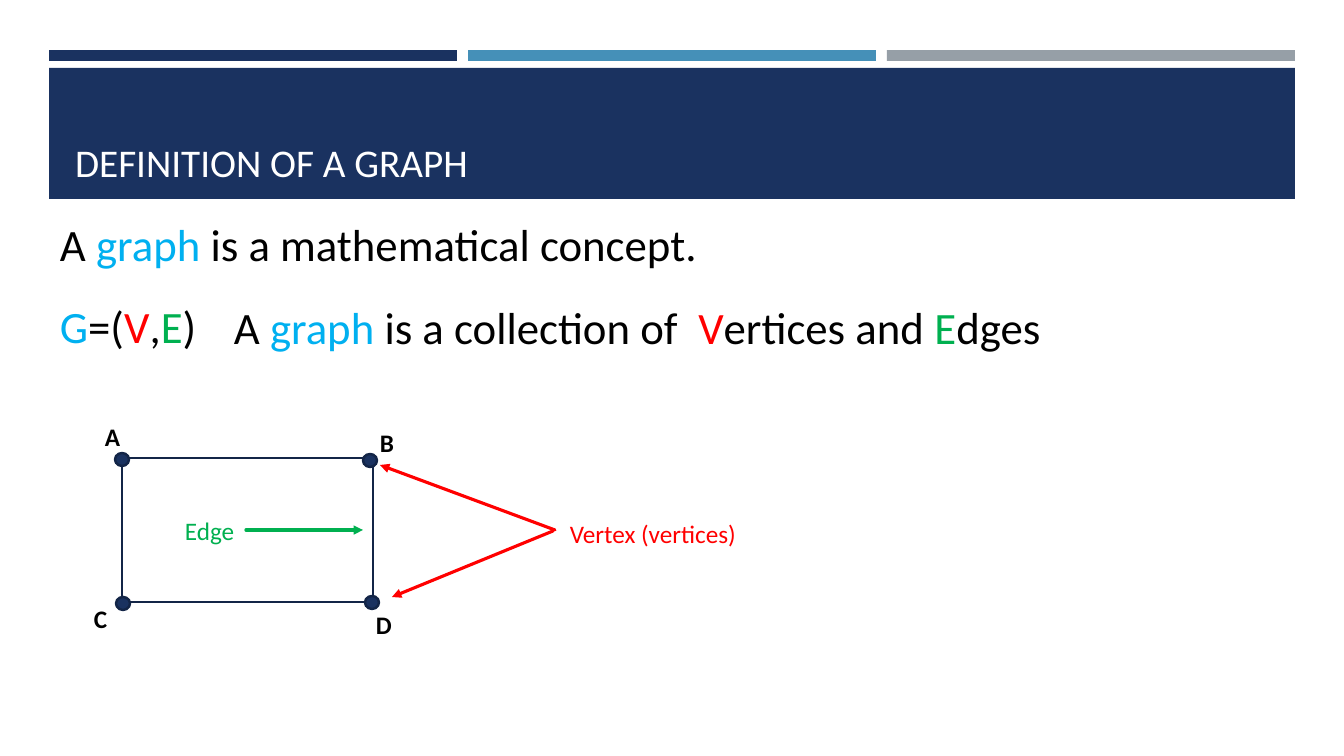
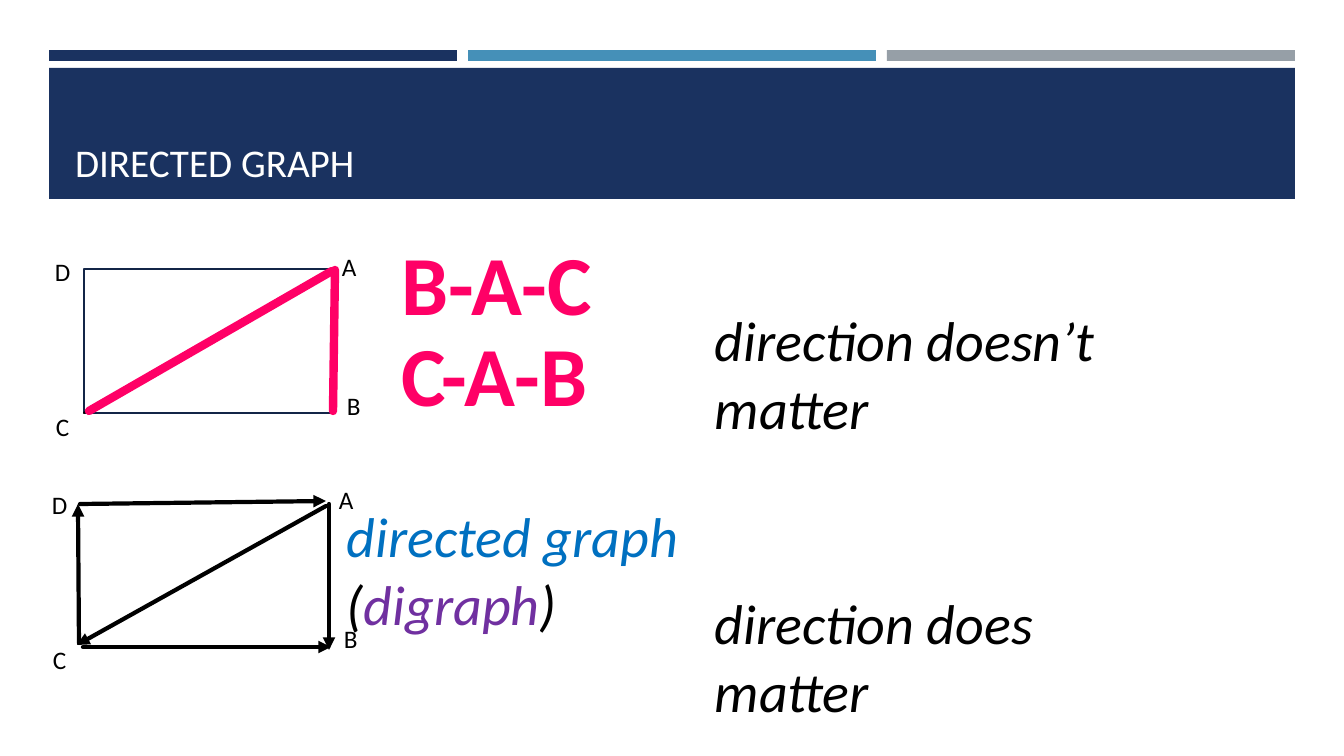
import pptx
import pptx.util
import pptx.dml.color
import pptx.enum.shapes
import pptx.enum.text
import lxml.etree

RGB = pptx.dml.color.RGBColor
KIND = pptx.enum.shapes.MSO_SHAPE
NAVY = RGB(0x1A, 0x32, 0x60)
EDGE = RGB(0x13, 0x25, 0x47)
STEEL = RGB(0x45, 0x90, 0xB8)
GRAY = RGB(0x96, 0x9F, 0xA7)
WHITE = RGB(0xFF, 0xFF, 0xFF)
BLACK = RGB(0, 0, 0)
SKY = RGB(0, 0xB0, 0xF0)
RED = RGB(0xFF, 0, 0)
GREEN = RGB(0, 0xB0, 0x50)
PINK = RGB(0xFF, 0, 0x66)
BLUE = RGB(0, 0x70, 0xC0)
PLUM = RGB(0x70, 0x30, 0xA0)
FONT = "Calibri"
PX = 914400 / 100.8
NS = "{http://schemas.openxmlformats.org/drawingml/2006/main}"


def write(slide, box, size, runs, bold=False, italic=False):
    area = slide.shapes.add_textbox(*[round(n * PX) for n in box])
    frame = area.text_frame
    frame.word_wrap = True
    for words, color in runs:
        run = frame.paragraphs[0].add_run()
        run.text = words
        run.font.name = FONT
        run.font.size = pptx.util.Pt(size)
        run.font.bold = bold
        run.font.italic = italic
        run.font.color.rgb = color


def draw(slide, ends, color, width, arrow=True):
    line = slide.shapes.add_connector(
        pptx.enum.shapes.MSO_CONNECTOR.STRAIGHT, *[round(n * PX) for n in ends])
    line.line.color.rgb = color
    line.line.width = pptx.util.Pt(width)
    props = line.element.spPr
    stroke = props.find(NS + "ln")
    stroke.set("cap", "rnd")
    if arrow:
        lxml.etree.SubElement(stroke, NS + "tailEnd", type="triangle")
    lxml.etree.SubElement(props, NS + "effectLst")


deck = pptx.Presentation()
deck.slide_width = round(1344 * PX)
deck.slide_height = round(756 * PX)
layout = deck.slide_layouts[5]
head = layout.placeholders[0]
head.left, head.top, head.width, head.height = [
    round(n * PX) for n in (65, 78, 1216, 112)]

graph = deck.slides.add_slide(layout)
paths = deck.slides.add_slide(layout)

bands = [(49 + 419 * i, 50, 408, 11, color)
         for i, color in enumerate((NAVY, STEEL, GRAY))]
bands.append((49, 68, 1246, 131, NAVY))
for *box, color in bands:
    band = graph.shapes.add_shape(KIND.RECTANGLE, *[round(n * PX) for n in box])
    band.shadow.inherit = False
    band.fill.solid()
    band.fill.fore_color.rgb = color
    band.line.fill.background()
    layout.shapes.element.insert(2, band.element)

for slide, words, left, top in (
        (graph, "DEFINITION OF A GRAPH", 122, 458),
        (paths, "DIRECTED GRAPH", 84, 269)):
    frame = slide.shapes.title.text_frame
    frame.vertical_anchor = pptx.enum.text.MSO_ANCHOR.BOTTOM
    para = frame.paragraphs[0]
    para.alignment = pptx.enum.text.PP_ALIGN.LEFT
    run = para.add_run()
    run.text = words
    run.font.name = FONT
    run.font.size = pptx.util.Pt(28)
    run.font.color.rgb = WHITE
    frame = slide.shapes.add_shape(
        KIND.RECTANGLE, *[round(n * PX) for n in (left, top, 251, 144)])
    frame.shadow.inherit = False
    frame.fill.background()
    frame.line.color.rgb = EDGE
    frame.line.width = pptx.util.Pt(1.75)

write(graph, (50, 212, 670, 65), 32, [
    ("A ", BLACK), ("graph", SKY), (" is a mathematical concept.", BLACK)])
write(graph, (50, 294, 170, 65), 32, [
    ("G", SKY), ("=(", BLACK), ("V", RED), (",", BLACK), ("E", GREEN), (")", BLACK)])
write(graph, (224, 295, 860, 65), 32, [
    ("A ", BLACK), ("graph", SKY), (" is a collection of  ", BLACK),
    ("V", RED), ("ertices and ", BLACK), ("E", GREEN), ("dges", BLACK)])

for left, top in ((115, 453), (363, 454), (116, 597), (365, 596)):
    dot = graph.shapes.add_shape(
        KIND.OVAL, *[round(n * PX) for n in (left, top, 14, 13)])
    dot.shadow.inherit = False
    dot.fill.solid()
    dot.fill.fore_color.rgb = NAVY
    dot.line.color.rgb = EDGE
    dot.line.width = pptx.util.Pt(1.75)

for ends, color in (
        ((555, 530, 380, 465), RED),
        ((553, 531, 392, 597), RED),
        ((246, 530, 363, 530), GREEN)):
    draw(graph, ends, color, 2.25)
write(graph, (560, 513, 200, 40), 18, [("Vertex (vertices)", RED)])
write(graph, (175, 510, 76, 40), 18, [("Edge", GREEN)])
for name, left, top in (("A", 95, 416), ("B", 370, 422), ("C", 84, 598), ("D", 366, 604)):
    write(graph, (left, top, 40, 40), 18, [(name, BLACK)], bold=True)

for right, down in ((0, 0), (-3, 233)):
    for name, left, top in (("A", 332, 246), ("B", 337, 385), ("C", 46, 406), ("D", 45, 251)):
        write(paths, (left + right, top + down, 40, 40), 18, [(name, BLACK)])

draw(paths, (334, 269, 84, 413), BLACK, 1.5, arrow=False)
for ends in ((332, 271, 89, 411), (333, 411, 335, 270)):
    draw(paths, ends, PINK, 6, arrow=False)
for ends in (
        (329, 504, 329, 650), (80, 504, 326, 501), (79, 643, 78, 504),
        (326, 506, 77, 645), (83, 647, 331, 647)):
    draw(paths, ends, BLACK, 3)

for words, top in (("B-A-C", 227), ("C-A-B", 318)):
    write(paths, (392, top, 268, 112), 60, [(words, PINK)], bold=True)
for box, runs in (
        ((705, 301, 523, 78), [("direction doesn’t matter", BLACK)]),
        ((337, 497, 532, 78), [
            ("directed graph ", BLUE), ("(", BLACK), ("digraph", PLUM), (")", BLACK)]),
        ((705, 584, 470, 78), [("direction does matter", BLACK)])):
    write(paths, box, 40, runs, italic=True)

deck.save("out.pptx")
